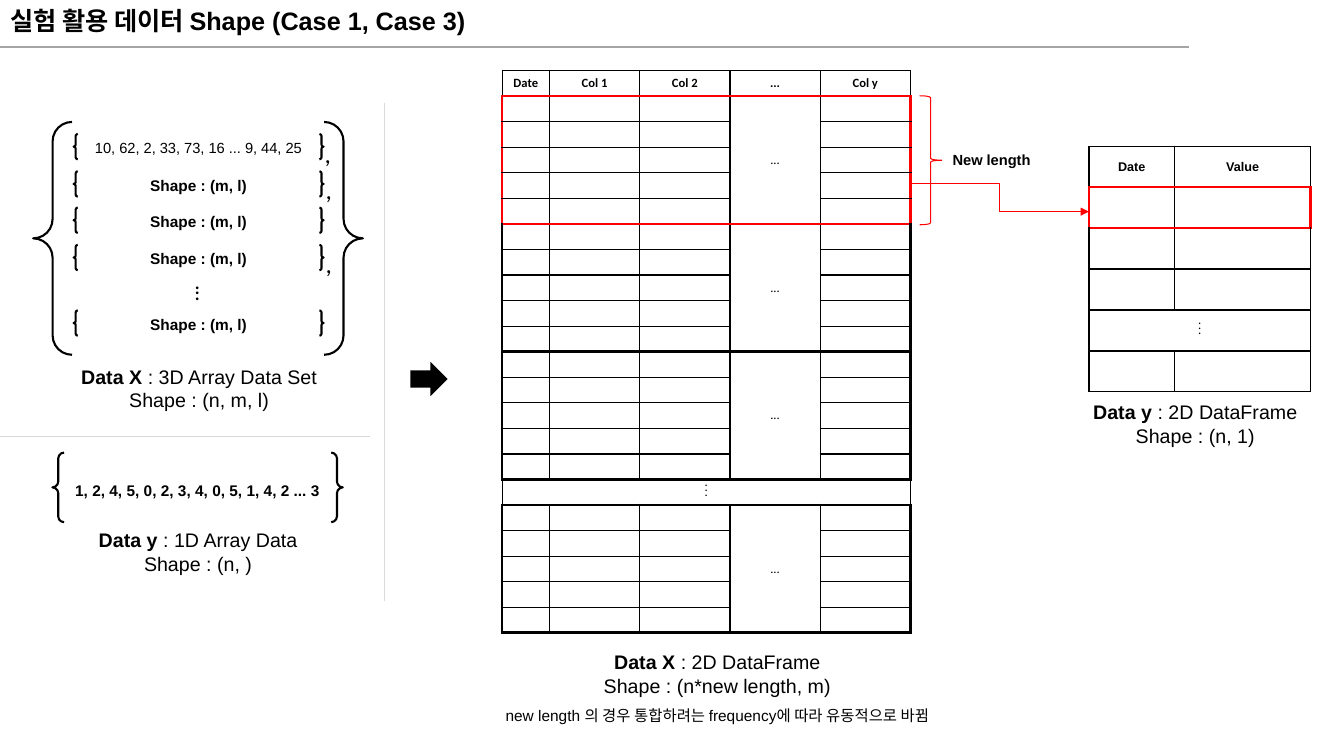
from lxml import etree
from pptx import Presentation
from pptx.dml.color import RGBColor
from pptx.enum.shapes import MSO_CONNECTOR, MSO_SHAPE
from pptx.enum.text import MSO_ANCHOR, MSO_AUTO_SIZE, PP_ALIGN
from pptx.oxml.ns import qn
from pptx.util import Inches, Pt

BLACK = RGBColor(0x00, 0x00, 0x00)
RED = RGBColor(0xFF, 0x00, 0x00)
GRAY = RGBColor(0xA5, 0xA5, 0xA5)
LIGHT_GRAY = RGBColor(0xD9, 0xD9, 0xD9)
CENTER, LEFT = PP_ALIGN.CENTER, PP_ALIGN.LEFT
TOP, MIDDLE = MSO_ANCHOR.TOP, MSO_ANCHOR.MIDDLE
NO_AUTO_SIZE = MSO_AUTO_SIZE.NONE
STRAIGHT, ELBOW = MSO_CONNECTOR.STRAIGHT, MSO_CONNECTOR.ELBOW
BRACE_PAIR, RIGHT_BRACE = MSO_SHAPE.LEFT_BRACE, MSO_SHAPE.RIGHT_BRACE
BRACE_PAIR = MSO_SHAPE.DOUBLE_BRACE
RIGHT_ARROW = MSO_SHAPE.RIGHT_ARROW
SIDES = ("a:lnL", "a:lnR", "a:lnT", "a:lnB")
SHAPE_LABEL = "Shape : (m, l)"
BLOCK_ROWS = 5
BLOCK_STARTS = (1, 6, 11, 17)


def write(frame, *lines, size=11, font="Arial", bold=False, align=CENTER,
          anchor=TOP, spacing=None):
    frame.word_wrap = True
    frame.vertical_anchor = anchor
    for index, line in enumerate(lines):
        paragraph = frame.paragraphs[0] if index == 0 else frame.add_paragraph()
        paragraph.alignment = align
        paragraph.line_spacing = spacing
        runs = [(line, bold)] if isinstance(line, str) else line
        for text, run_bold in runs:
            run = paragraph.add_run()
            run.text = text
            run.font.name = font
            run.font.size = Pt(size)
            run.font.bold = run_bold
            run.font.color.rgb = BLACK


def add_label(slide, left, top, width, height, *lines, **text_format):
    box = slide.shapes.add_textbox(Inches(left), Inches(top), Inches(width), Inches(height))
    write(box.text_frame, *lines, **text_format)
    return box


def add_caption(slide, left, top, name, kind, shape_text):
    return add_label(slide, left, top, 3.01, 0.57,
                     [(name, True), (" : " + kind, False)], shape_text, size=14)


def add_outline(slide, kind, left, top, width, height, color=BLACK, weight=1.5):
    shape = slide.shapes.add_shape(kind, Inches(left), Inches(top), Inches(width), Inches(height))
    shape.shadow.inherit = False
    shape.fill.background()
    shape.line.color.rgb = color
    shape.line.width = Pt(weight)
    return shape


def add_line(slide, kind, start, end, color, weight):
    points = [Inches(value) for value in (*start, *end)]
    connector = slide.shapes.add_connector(kind, *points)
    connector.line.color.rgb = color
    connector.line.width = Pt(weight)
    etree.SubElement(connector._element.spPr, qn("a:effectLst"))
    return connector


def add_arrowhead(connector):
    etree.SubElement(connector.line._get_or_add_ln(), qn("a:tailEnd"), type="triangle")


def set_border(cell, side, color=BLACK, weight=1):
    properties = cell._tc.get_or_add_tcPr()
    line = properties.find(qn(side))
    if line is None:
        line = etree.SubElement(properties, qn(side))
        fill = etree.SubElement(line, qn("a:solidFill"))
        etree.SubElement(fill, qn("a:srgbClr"))
    line.set("w", str(Pt(weight)))
    line.find(".//" + qn("a:srgbClr")).set("val", str(color))


def add_grid(slide, left, top, widths, row_count, row_height):
    frame = slide.shapes.add_table(row_count, len(widths), Inches(left), Inches(top),
                                   Inches(sum(widths)), Inches(row_height * row_count))
    table = frame.table
    table.first_row = table.horz_banding = False
    for column, width in zip(table.columns, widths):
        column.width = Inches(width)
    for row in table.rows:
        row.height = Inches(row_height)
        for cell in row.cells:
            for side in SIDES:
                set_border(cell, side)
            cell.fill.background()
            cell.margin_top = cell.margin_bottom = Inches(0.03)
            cell.vertical_anchor = MIDDLE
            etree.SubElement(cell.text_frame.paragraphs[0]._p, qn("a:endParaRPr"), sz="900")
    return table


def frame_rows(table, first, last, color):
    weight = 2.25
    for column in range(len(table.columns)):
        top_cell = table.cell(first, column)
        set_border(top_cell, "a:lnT", color, weight)
        set_border(table.cell(first - 1, column), "a:lnB", color, weight)
        set_border(table.cell(last, column), "a:lnB", color, weight)
        if top_cell.is_merge_origin:
            set_border(top_cell, "a:lnB", color, weight)
        if last + 1 < len(table.rows):
            set_border(table.cell(last + 1, column), "a:lnT", color, weight)
    for row in range(first, last + 1):
        set_border(table.cell(row, 0), "a:lnL", color, weight)
        set_border(table.cell(row, len(table.columns) - 1), "a:lnR", color, weight)


def write_cell(cell, *lines, **text_format):
    write(cell.text_frame, *lines, size=9, anchor=MIDDLE, **text_format)


def add_gap_row(table, row):
    cell = table.cell(row, 0)
    cell.merge(table.cell(row, len(table.columns) - 1))
    write_cell(cell, ".", ".", ".", font="Calibri", spacing=Pt(3.5))


def add_title(slide):
    title = slide.shapes.title
    title.left, title.top, title.width, title.height = [
        Inches(value) for value in (0, 0, 10.99, 0.4)]
    write(title.text_frame, "실험 활용 데이터 Shape (Case 1, Case 3)",
          size=18, bold=True, align=LEFT)
    title.text_frame.auto_size = NO_AUTO_SIZE
    add_line(slide, STRAIGHT, (0, 0.47), (11.79, 0.47), GRAY, 1.5)


def add_arrays(slide):
    rows = [(1.33, "10, 62, 2, 33, 73, 16 ... 9, 44, 25", 10.5, False)]
    rows += [(top, SHAPE_LABEL, 11, True) for top in (1.7, 2.06, 2.43, 3.08)]
    for top, text, size, bold in rows:
        brace = add_outline(slide, BRACE_PAIR, 0.73, top, 2.48, 0.25)
        write(brace.text_frame, text, size=size, bold=bold, anchor=MIDDLE)
    add_outline(slide, BRACE_PAIR, 0.33, 1.21, 3.27, 2.31)
    for left, top in ((3.12, 1.32), (3.13, 1.68), (3.13, 2.41)):
        add_label(slide, left, top, 0.21, 0.4, ",", size=18, font="Calibri", align=LEFT)
    dots = add_label(slide, 1.81, 2.73, 0.44, 0.37, "...", size=16, font="Calibri")
    dots.rotation = 90
    add_caption(slide, 0.47, 3.57, "Data X", "3D Array Data Set", "Shape : (n, m, l)")
    labels = add_outline(slide, BRACE_PAIR, 0.52, 4.49, 2.88, 0.69)
    write(labels.text_frame, "1, 2, 4, 5, 0, 2, 3, 4, 0, 5, 1, 4, 2 ... 3",
          bold=True, anchor=MIDDLE)
    add_caption(slide, 0.46, 5.19, "Data y", "1D Array Data", "Shape : (n, )")
    add_line(slide, STRAIGHT, (0, 4.33), (3.67, 4.33), LIGHT_GRAY, 0.75)
    add_line(slide, STRAIGHT, (3.81, 5.96), (3.81, 1.02), LIGHT_GRAY, 0.75)
    arrow = add_outline(slide, RIGHT_ARROW, 4.07, 3.59, 0.37, 0.34)
    arrow.fill.solid()
    arrow.fill.fore_color.rgb = BLACK
    arrow.line.fill.background()


def add_data_x(slide):
    table = add_grid(slide, 4.98, 0.7, [0.47] + [0.895] * 4, 22, 5.58 / 22)
    for column, text in enumerate(("Date", "Col 1", "Col 2", "...", "Col y")):
        write_cell(table.cell(0, column), text, font="Calibri", bold=True)
    for start in BLOCK_STARTS:
        cell = table.cell(start, 3)
        cell.merge(table.cell(start + BLOCK_ROWS - 1, 3))
        write_cell(cell, "...", font="Calibri")
    add_gap_row(table, 16)
    for start in reversed(BLOCK_STARTS):
        color = RED if start == 1 else BLACK
        frame_rows(table, start, start + BLOCK_ROWS - 1, color)
    caption = add_caption(slide, 5.61, 6.4, "Data X", "2D DataFrame",
                          "Shape : (n*new length, m)")
    caption.left, caption.width, caption.height = Inches(4.37), Inches(5.49), Inches(0.82)
    note = caption.text_frame.add_paragraph()
    note.alignment = CENTER
    note.line_spacing = 1.5
    run = note.add_run()
    run.text = "new length 의 경우 통합하려는 frequency에 따라 유동적으로 바뀜"
    run.font.name = "Arial"
    run.font.size = Pt(11)
    run.font.color.rgb = BLACK


def add_data_y(slide):
    add_outline(slide, RIGHT_BRACE, 9.12, 0.95, 0.22, 1.28, RED, 0.75)
    add_label(slide, 9.35, 1.45, 1.01, 0.28, "New length", size=10.5, bold=True, align=LEFT)
    table = add_grid(slide, 10.8, 1.45, [0.85, 1.35], 6, 2.44 / 6)
    for column, text in enumerate(("Date", "Value")):
        write_cell(table.cell(0, column), text, bold=True)
    add_gap_row(table, 4)
    frame_rows(table, 1, 1, RED)
    add_arrowhead(add_line(slide, ELBOW, (9.03, 1.82), (10.8, 2.1), RED, 1))
    add_caption(slide, 10.35, 3.92, "Data y", "2D DataFrame", "Shape : (n, 1)")


def main():
    presentation = Presentation()
    presentation.slide_width = Inches(13.33)
    presentation.slide_height = Inches(7.5)
    slide = presentation.slides.add_slide(presentation.slide_layouts[5])
    add_title(slide)
    add_arrays(slide)
    add_data_x(slide)
    add_data_y(slide)
    presentation.save("out.pptx")


if __name__ == "__main__":
    main()
